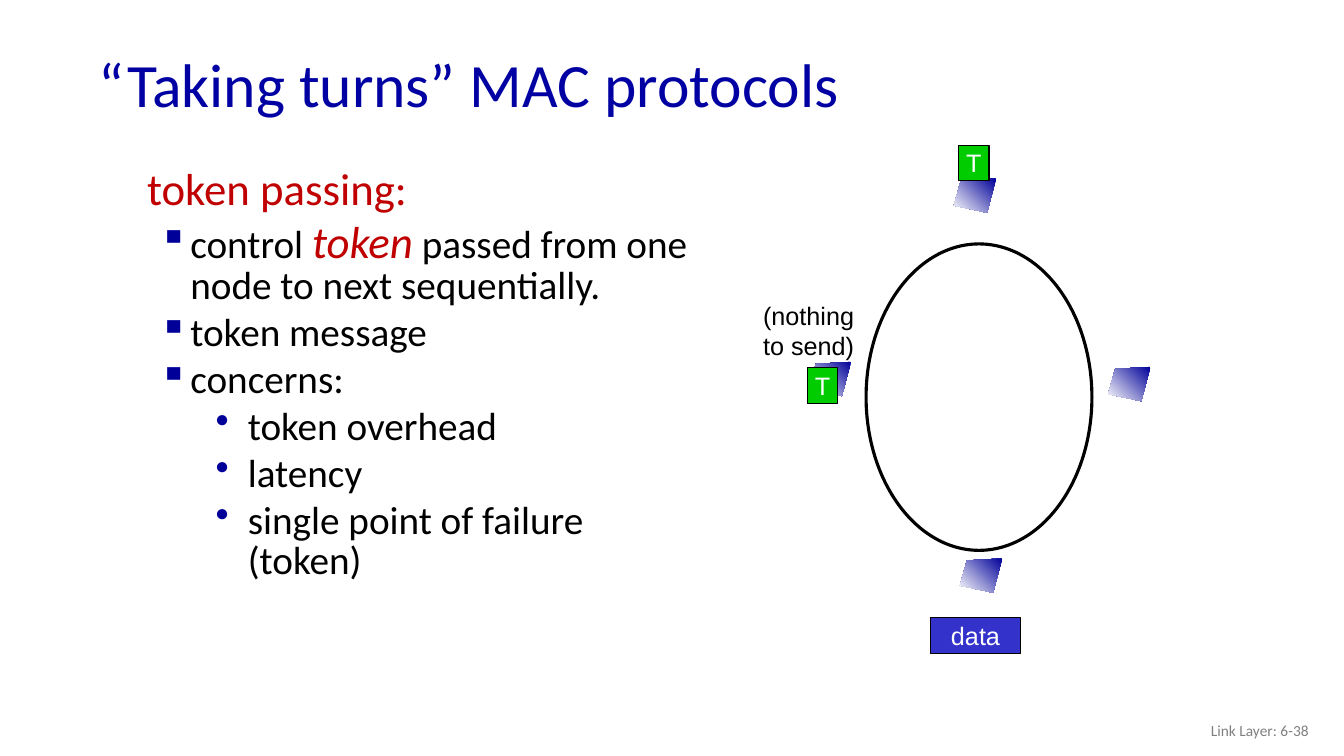
from dataclasses import dataclass

from lxml.etree import SubElement
from pptx import Presentation
from pptx.dml.color import RGBColor
from pptx.enum.shapes import MSO_SHAPE
from pptx.enum.text import MSO_ANCHOR, PP_ALIGN
from pptx.oxml.ns import qn
from pptx.util import Pt

PX = 9144  # EMU per px, 100 px to the inch
COLORS = {
    "title": "0000A3",
    "footer": "808080",
    "accent": "C00000",
    "text": "000000",
    "bullet": "000099",
    "node": "000099",
    "white": "FFFFFF",
    "token": "00CC00",
    "data": "3333CC",
}
NODE_OUTLINE = [(42, 0), (7, 2), (0, 27), (33, 34)]
NODE_ORIGINS = [(1099, 364), (802, 359), (946, 177), (952, 554)]


@dataclass
class Span:
    text: str
    size: int = 28
    color: str = "text"
    font: str = "Calibri"
    italic: bool = False


@dataclass
class Line:
    spans: list[Span]
    bullet: str = ""
    level: int = 0
    margin: int = 0
    indent: int = 0
    spacing: float = 1.0
    before: int = 0
    align: PP_ALIGN = PP_ALIGN.LEFT


@dataclass
class TextBox:
    left: int
    top: int
    width: int
    height: int
    lines: list[Line]
    anchor: MSO_ANCHOR = MSO_ANCHOR.TOP
    wrap: bool = True


@dataclass
class Tag:
    text: str
    left: int
    top: int
    width: int
    fill: str
    height: int = 35


def rgb(name: str) -> RGBColor:
    return RGBColor.from_string(COLORS[name])


def item(*spans: Span) -> Line:
    return Line(list(spans), "▪", 0, 43, -31, 0.85, 5)


def subitem(text: str) -> Line:
    return Line([Span(text)], "•", 1, 100, -32, 0.85, 5)


def fill_paragraph(paragraph, line: Line) -> None:
    paragraph.level = line.level
    paragraph.alignment = line.align
    paragraph.line_spacing = line.spacing
    paragraph.space_before = Pt(line.before)
    properties = paragraph._p.get_or_add_pPr()
    properties.set("marL", str(line.margin * PX))
    properties.set("indent", str(line.indent * PX))
    if line.bullet:
        bullet_color = SubElement(properties, qn("a:buClr"))
        SubElement(bullet_color, qn("a:srgbClr"), val=COLORS["bullet"])
        SubElement(properties, qn("a:buChar"), char=line.bullet)
    for span in line.spans:
        run = paragraph.add_run()
        run.text = span.text
        run.font.name = span.font
        run.font.size = Pt(span.size)
        run.font.italic = span.italic
        run.font.color.rgb = rgb(span.color)


def fill_text(text_frame, lines: list[Line], anchor: MSO_ANCHOR, wrap: bool) -> None:
    text_frame.word_wrap = wrap
    text_frame.vertical_anchor = anchor
    for index, line in enumerate(lines):
        paragraph = text_frame.add_paragraph() if index else text_frame.paragraphs[0]
        fill_paragraph(paragraph, line)


def draw_text_box(slide, box: TextBox) -> None:
    shape = slide.shapes.add_textbox(
        box.left * PX, box.top * PX, box.width * PX, box.height * PX)
    fill_text(shape.text_frame, box.lines, box.anchor, box.wrap)


def draw_node(slide, left: int, top: int) -> None:
    corners = [(left + x, top + y) for x, y in NODE_OUTLINE]
    builder = slide.shapes.build_freeform(*corners[0], scale=PX)
    builder.add_line_segments(corners[1:], close=True)
    shape = builder.convert_to_shape()
    shape.shadow.inherit = False
    shape.line.fill.background()
    shape.fill.gradient()
    shape.fill.gradient_angle = 225
    for stop, color in zip(shape.fill.gradient_stops, ("node", "white")):
        stop.color.rgb = rgb(color)


def draw_ring(slide) -> None:
    ring = slide.shapes.add_shape(
        MSO_SHAPE.OVAL, 859 * PX, 242 * PX, 224 * PX, 304 * PX)
    ring.shadow.inherit = False
    ring.fill.background()
    ring.line.color.rgb = rgb("text")
    ring.line.width = Pt(2.25)


def draw_tag(slide, tag: Tag) -> None:
    shape = slide.shapes.add_shape(
        MSO_SHAPE.RECTANGLE, tag.left * PX, tag.top * PX, tag.width * PX, tag.height * PX)
    shape.shadow.inherit = False
    shape.fill.solid()
    shape.fill.fore_color.rgb = rgb(tag.fill)
    shape.line.color.rgb = rgb("text")
    shape.line.width = Pt(0.75)
    label = Line([Span(tag.text, 18, "white", "Arial")], align=PP_ALIGN.CENTER)
    fill_text(shape.text_frame, [label], MSO_ANCHOR.MIDDLE, False)


TEXT_BOXES = [
    # Title
    TextBox(88, 38, 1150, 98,
            [Line([Span("“Taking turns” MAC protocols", 44, "title")], spacing=0.9)],
            MSO_ANCHOR.MIDDLE),
    # Footer
    TextBox(1008, 705, 300, 40,
            [Line([Span("Link Layer: 6-38", 11, "footer")], align=PP_ALIGN.RIGHT)],
            MSO_ANCHOR.MIDDLE),
    # Bullet list
    TextBox(136, 163, 568, 508, [
        Line([Span("token passing:", 32, "accent")],
             margin=38, indent=-38, spacing=0.85),
        item(Span("control "), Span("token", 32, "accent", italic=True),
             Span(" passed from one node to next sequentially.")),
        item(Span("token message")),
        item(Span("concerns:")),
        subitem("token overhead"),
        subitem("latency"),
        subitem("single point of failure (token)"),
    ]),
    # Remark beside the left node
    TextBox(747, 293, 110, 70,
            [Line([Span(text, 18, font="Arial")]) for text in ("(nothing", "to send)")],
            wrap=False),
]
TAGS = [
    Tag("T", 951, 144, 30, "token"),
    Tag("data", 923, 613, 89, "data"),
    Tag("T", 801, 365, 30, "token"),
]


def main() -> None:
    presentation = Presentation()
    presentation.slide_width = 1333 * PX
    presentation.slide_height = 750 * PX
    slide = presentation.slides.add_slide(presentation.slide_layouts[6])

    # Token ring
    for left, top in NODE_ORIGINS:
        draw_node(slide, left, top)
    draw_ring(slide)

    # Text and message tags
    for box in TEXT_BOXES:
        draw_text_box(slide, box)
    for tag in TAGS:
        draw_tag(slide, tag)

    presentation.save("out.pptx")


if __name__ == "__main__":
    main()
